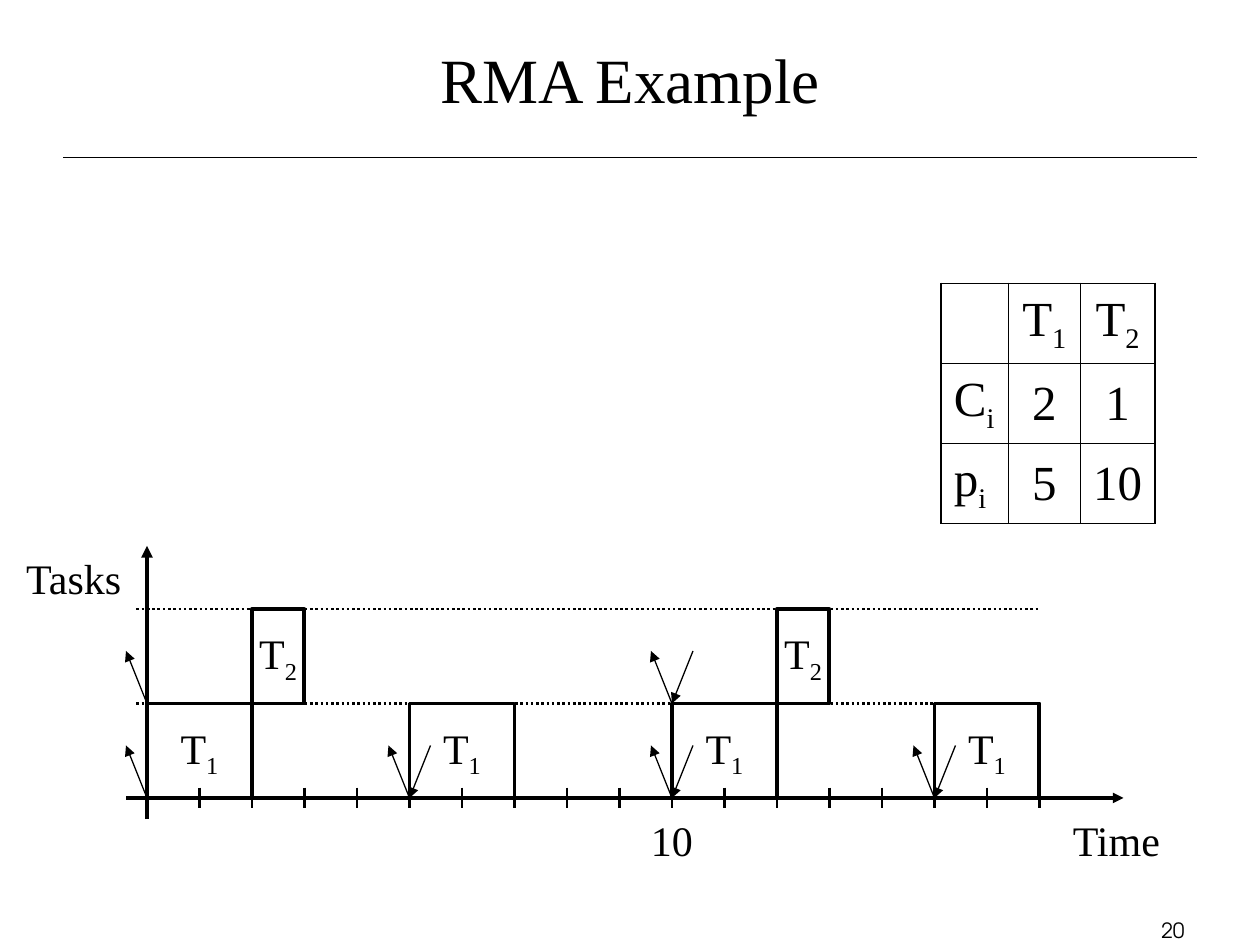
"""Build a slide with a rate-monotonic schedule, its timeline and its task table."""
from lxml.etree import SubElement
from pptx import Presentation
from pptx.dml.color import RGBColor
from pptx.enum.dml import MSO_LINE
from pptx.enum.shapes import MSO_CONNECTOR, MSO_SHAPE
from pptx.enum.text import MSO_ANCHOR as Anchor, PP_ALIGN as Align
from pptx.oxml import parse_xml
from pptx.oxml.ns import nsdecls, qn
from pptx.util import Pt

SERIF, SANS, BLACK = "Times New Roman", "TeX Gyre Adventor", "000000"
TABLE = [["", "T_1", "T_2"], ["C_i", "2", "1"], ["p_i", "5", "10"]]
COLUMN_WIDTHS, ROW_HEIGHT = [38.4, 41, 42.7], 45.7
TASKS = [
    dict(label="T_1", duration=2, starts=[0, 5, 10, 15], releases=[0, 5, 10, 15], deadlines=[5, 10, 15]),
    dict(label="T_2", duration=1, starts=[2, 12], releases=[0, 10], deadlines=[10]),
]
LABELS = [
    ("RMA Example", (54, 0, 612, 90), 36, SERIF, Align.CENTER, Anchor.MIDDLE, True),
    ("Tasks", (7.9, 312, 70.6, 36), 24, SERIF, Align.LEFT, Anchor.TOP, False),
    ("10", (364.8, 462, 38.4, 36), 24, SERIF, Align.LEFT, Anchor.TOP, False),
    ("Time", (606, 462, 64.8, 36), 24, SERIF, Align.LEFT, Anchor.TOP, False),
    ("20", (534, 520.6, 150, 18), 12, SANS, Align.RIGHT, Anchor.TOP, True),
]
ORIGIN_X, BASE_Y, UNIT, LANE, TICKS = 84, 456, 30, 54, 17

presentation = Presentation()
presentation.slide_width, presentation.slide_height = Pt(720), Pt(540)
slide = presentation.slides.add_slide(presentation.slide_layouts[6])


def color(value):
    return RGBColor.from_string(value)


def write(frame, text, size, font=SERIF, align=Align.CENTER):
    """Write text, setting what follows an underscore as a subscript."""
    paragraph = frame.paragraphs[0]
    paragraph.alignment = align
    for position, part in enumerate(text.split("_")):
        run = paragraph.add_run()
        run.text = part
        run.font.size, run.font.name = Pt(size), font
        run.font.color.rgb = color(BLACK)
        if position:
            run.font._element.set("baseline", "-25000")


def add_line(start, end, width, arrow=False, dash=None):
    line = slide.shapes.add_connector(MSO_CONNECTOR.STRAIGHT, *map(Pt, (*start, *end)))
    line.line.color.rgb, line.line.width = color(BLACK), Pt(width)
    if dash:
        line.line.dash_style = dash
    if arrow:
        SubElement(line.line._get_or_add_ln(), qn("a:tailEnd"), type="triangle")
    SubElement(line._element.spPr, qn("a:effectLst"))


def add_label(text, box, size, font, align, anchor, wrap):
    frame = slide.shapes.add_textbox(*map(Pt, box)).text_frame
    frame.word_wrap, frame.vertical_anchor = wrap, anchor
    write(frame, text, size, font, align)


def add_job(label, left, top, width):
    shape = slide.shapes.add_shape(MSO_SHAPE.RECTANGLE, *map(Pt, (left, top, width, LANE)))
    shape.shadow.inherit = False
    shape.fill.background()
    shape.line.color.rgb, shape.line.width = color(BLACK), Pt(2.25)
    shape.text_frame.word_wrap = False
    shape.text_frame.vertical_anchor = Anchor.MIDDLE
    write(shape.text_frame, label, 24)


def set_borders(cell, outer_sides):
    properties = cell._tc.get_or_add_tcPr()
    for position, side in enumerate("LRTB"):
        width = Pt(1.08 if side in outer_sides else 0.45)
        properties.insert(position, parse_xml(
            f'<a:ln{side} {nsdecls("a")} w="{width}"><a:solidFill>'
            f'<a:srgbClr val="{BLACK}"/></a:solidFill></a:ln{side}>'))


def add_task_table(left, top):
    size = len(TABLE)
    box = (left, top, sum(COLUMN_WIDTHS), ROW_HEIGHT * size)
    table = slide.shapes.add_table(size, size, *map(Pt, box)).table
    table.first_row = table.horz_banding = False
    for column, width in zip(table.columns, COLUMN_WIDTHS):
        column.width = Pt(width)
    for r, values in enumerate(TABLE):
        table.rows[r].height = Pt(ROW_HEIGHT)
        for c, text in enumerate(values):
            cell = table.cell(r, c)
            cell.fill.background()
            cell.vertical_anchor = Anchor.MIDDLE
            edges = {"L": c == 0, "R": c == size - 1, "T": r == 0, "B": r == size - 1}
            set_borders(cell, [side for side, outer in edges.items() if outer])
            write(cell.text_frame, text, 28, align=Align.CENTER if c else Align.LEFT)


def time_x(time):
    return ORIGIN_X + time * UNIT


for label in LABELS:
    add_label(*label)
add_line((36, 90), (684, 90), 0.75)
add_task_table(537.9, 162)
add_line((72, BASE_Y), (642, BASE_Y), 2, arrow=True)
add_line((ORIGIN_X, 468), (ORIGIN_X, 312), 2.25, arrow=True)
for tick in range(1, TICKS + 1):
    add_line((time_x(tick), BASE_Y - 6), (time_x(tick), BASE_Y + 6), 1.5)
for lane, task in enumerate(TASKS):
    floor = BASE_Y - lane * LANE
    add_line((78, floor - LANE), (time_x(TICKS), floor - LANE), 1.5, dash=MSO_LINE.ROUND_DOT)
    for start in task["starts"]:
        add_job(task["label"], time_x(start), floor - LANE, task["duration"] * UNIT)
    for release in task["releases"]:
        add_line((time_x(release), floor), (time_x(release) - 12, floor - 30), 0.75, arrow=True)
    for deadline in task["deadlines"]:
        add_line((time_x(deadline) + 12, floor - 30), (time_x(deadline), floor), 0.75, arrow=True)

presentation.save("out.pptx")
